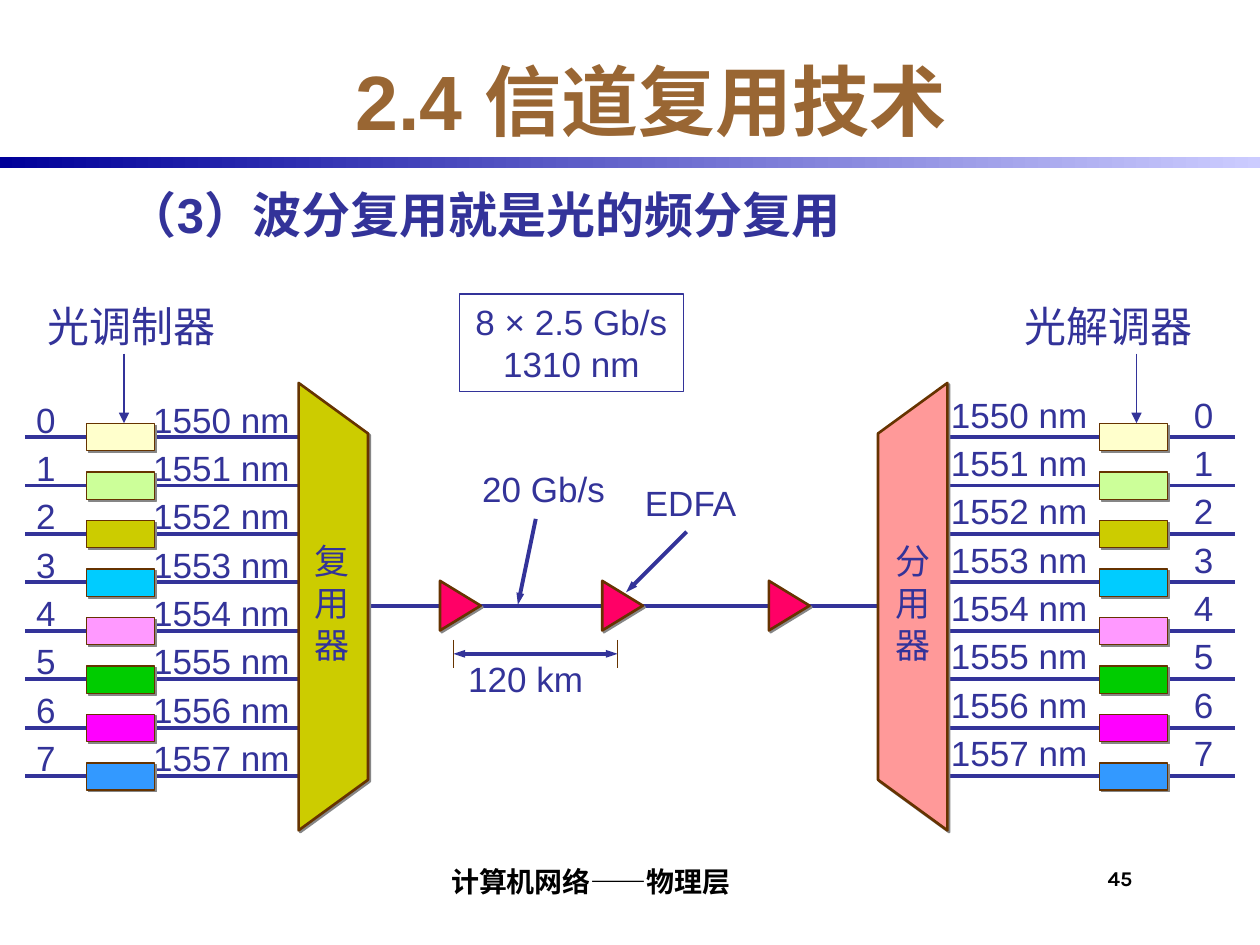
import pptx
import pptx.util
import pptx.dml.color
import pptx.enum.shapes
import pptx.enum.text
import pptx.oxml.ns
import lxml.etree
from pptx.util import Cm

# Theme: colours, fonts and sizes
THEME = {
    "ink": "333399", "title": "996633", "edge": "663300", "shadow": "868686",
    "amplifier": "FF0066", "bar": ("000099", "CCCCFF"), "black": "000000",
    "sans": "Arial", "serif": "Times New Roman", "label": "Karla",
    "title_size": 44, "heading_size": 28, "device_size": 24, "text_size": 20,
    "footer_size": 16, "number_size": 12, "thick": 2.25, "medium": 1.5, "thin": 0.75,
}

# Content (lengths in centimetres)
TITLE = "2.4 信道复用技术"
HEADING = "（3）波分复用就是光的频分复用"
FOOTER, PAGE_NUMBER = "计算机网络——物理层", "45"
CHANNEL_COLOURS = ["FFFFCC", "CCFF99", "CCCC00", "00CCFF",
                   "FF99FF", "00CC00", "FF00FF", "3399FF"]
WAVELENGTHS = [f"{1550 + number} nm" for number in range(8)]
SENDER_LINES = [f"{i}\t{wave}" for i, wave in enumerate(WAVELENGTHS)]
RECEIVER_LINES = [f"{wave}\t{i}" for i, wave in enumerate(WAVELENGTHS)]
SIDES = [  # line start, device left, device name, name left, arrow x
    (0.51, 1.75, "光调制器", 0.71, 2.5),
    (19.1, 22.17, "光解调器", 20.4, 22.91),
]
COUPLERS = [  # text, text left, long edge x, short edge x, fill
    ("复用器", 6.1, 6.02, 7.42, "CCCC00"),
    ("分用器", 17.81, 19.1, 17.7, "FF9999"),
]
FIBRE_LABELS = [  # text, left, top, width
    ("20 Gb/s", 9.47, 9.3, 2.97),
    ("EDFA", 12.75, 9.58, 2.39),
    ("120 km", 9.19, 13.13, 2.82),
]
AMPLIFIER_CENTRES = [9.28, 12.55, 15.91]
ROW_FIRST, ROW_LAST, FIBRE_Y = 8.81, 15.65, 12.22
LINE_LENGTH = 5.79
SPAN_ENDS = (9.14, 12.45)

deck = pptx.Presentation()
deck.slide_width, deck.slide_height = Cm(25.4), Cm(19.05)
page = deck.slides.add_slide(deck.slide_layouts[5])
ALIGN = pptx.enum.text.PP_ALIGN
ANCHOR = pptx.enum.text.MSO_ANCHOR
SHAPE = pptx.enum.shapes.MSO_SHAPE


def colour(name):
    return pptx.dml.color.RGBColor.from_string(name)


def drawing(parent, tag, **attributes):
    return lxml.etree.SubElement(parent, pptx.oxml.ns.qn("a:" + tag), attributes)


def write(text, *, at, box=None, size=THEME["text_size"], font=THEME["sans"],
          ink=THEME["ink"], bold=False, align=ALIGN.LEFT, anchor=ANCHOR.TOP,
          wrap=False, spacing=None, tab=None, margins=(0.25, 0.13, 0.25, 0.13)):
    """Write one paragraph per line of text, in a new box unless one is given."""
    box = box or page.shapes.add_textbox(0, 0, 0, 0)
    box.left, box.top, box.width, box.height = map(Cm, at)
    frame = box.text_frame
    frame.auto_size = pptx.enum.text.MSO_AUTO_SIZE.NONE
    frame.word_wrap, frame.vertical_anchor = wrap, anchor
    (frame.margin_left, frame.margin_top,
     frame.margin_right, frame.margin_bottom) = map(Cm, margins)
    for index, line in enumerate(text.split("\n")):
        para = frame.add_paragraph() if index else frame.paragraphs[0]
        para.alignment = align
        if spacing:
            para.line_spacing = pptx.util.Pt(spacing)
        if tab:
            stops = drawing(para._p.get_or_add_pPr(), "tabLst")
            drawing(stops, "tab", pos=str(Cm(tab)), algn="l")
        span = para.add_run()
        span.text = line
        span.font.size, span.font.bold = pptx.util.Pt(size), bold
        span.font.name, span.font.color.rgb = font, colour(ink)
    return box


def outline(shape, ink, width):
    shape.line.color.rgb = colour(ink)
    shape.line.width = pptx.util.Pt(width)


def finish(shape, fill, width):
    """Fill and outline a part and give it a small hard shadow."""
    shape.fill.solid()
    shape.fill.fore_color.rgb = colour(fill)
    outline(shape, THEME["edge"], width)
    shape.shadow.inherit = False
    effects = shape._element.spPr.find(pptx.oxml.ns.qn("a:effectLst"))
    shadow = drawing(effects, "outerShdw", dist=str(pptx.util.Pt(1.4)),
                     dir="2700000", algn="ctr", rotWithShape="0")
    drawing(shadow, "srgbClr", val=THEME["shadow"])


def connect(x1, y1, x2, y2, *, ink=THEME["ink"], width=THEME["thick"], heads=()):
    line = page.shapes.add_connector(
        pptx.enum.shapes.MSO_CONNECTOR.STRAIGHT, *map(Cm, (x1, y1, x2, y2)))
    outline(line, ink, width)
    head_width = "sm" if width == THEME["thick"] else "med"
    for end in heads:
        drawing(line.line._get_or_add_ln(), end, type="triangle",
                w=head_width, len="med")
    drawing(line._element.spPr, "effectLst")


# Title, rule, heading, footer
bar = page.shapes.add_shape(SHAPE.RECTANGLE, 0, Cm(3.17), Cm(25.4), Cm(0.21))
bar.shadow.inherit = False
bar.line.fill.background()
bar.fill.gradient()
bar.fill.gradient_angle = 0
for stop, shade in zip(bar.fill.gradient_stops, THEME["bar"]):
    stop.color.rgb = colour(shade)
write(TITLE, at=(2.33, 0.85, 21.59, 2.33), box=page.shapes.title,
      size=THEME["title_size"], ink=THEME["title"], bold=True,
      align=ALIGN.CENTER, anchor=ANCHOR.MIDDLE, wrap=True)
write(HEADING, at=(2.33, 3.6, 21.59, 1.5), size=THEME["heading_size"],
      bold=True, wrap=True)
write(FOOTER, at=(5.29, 17.15, 13.14, 1.06), size=THEME["footer_size"],
      font=THEME["label"], ink=THEME["black"], bold=True, align=ALIGN.CENTER,
      anchor=ANCHOR.BOTTOM, wrap=True, margins=(0.1, 0, 0, 0.1))
write(PAGE_NUMBER, at=(22.23, 17.35, 1.48, 1.06), size=THEME["number_size"],
      font=THEME["label"], ink=THEME["black"], bold=True, wrap=True,
      margins=(0.1, 0.1, 0, 0))

# Channel numbers and wavelengths
write("\n".join(RECEIVER_LINES), at=(18.92, 7.67, 6.2, 8.05), wrap=True,
      spacing=27.6, tab=4.9)
write("\n".join(SENDER_LINES), at=(0.48, 7.77, 6.4, 8.05), wrap=True,
      spacing=27.6, tab=2.36)

# Channel lines, then the coloured devices on them
pitch = (ROW_LAST - ROW_FIRST) / (len(CHANNEL_COLOURS) - 1)
for line_left, device_left, name, name_left, arrow_x in SIDES:
    for row, fill in enumerate(CHANNEL_COLOURS):
        y = ROW_FIRST + row * pitch
        connect(line_left, y, line_left + LINE_LENGTH, y)
        device = page.shapes.add_shape(
            SHAPE.RECTANGLE, Cm(device_left), Cm(y - 0.27), Cm(1.37), Cm(0.55))
        finish(device, fill, THEME["thin"])
    write(name, at=(name_left, 5.92, 3.89, 1.27), size=THEME["device_size"],
          font=THEME["label"])
    connect(arrow_x, 7.13, arrow_x, 8.53, width=THEME["thin"], heads=["tailEnd"])

# Fibre and amplifiers
connect(6.45, FIBRE_Y, 18.95, FIBRE_Y)
for centre in AMPLIFIER_CENTRES:
    amplifier = page.shapes.add_shape(
        SHAPE.ISOSCELES_TRIANGLE, Cm(centre - 0.5), Cm(FIBRE_Y - 0.42),
        Cm(1), Cm(0.82))
    amplifier.rotation = 90
    finish(amplifier, THEME["amplifier"], THEME["medium"])

# Multiplexer and demultiplexer
for text, text_left, long_x, short_x, fill in COUPLERS:
    corners = [(long_x, 16.74), (long_x, 7.72), (short_x, 8.74), (short_x, 15.72)]
    points = [(Cm(x), Cm(y)) for x, y in corners]
    builder = page.shapes.build_freeform(*points[0])
    builder.add_line_segments(points[1:], close=True)
    finish(builder.convert_to_shape(), fill, THEME["medium"])
    write("\n".join(text), at=(text_left, 10.74, 1.22, 2.79),
          font=THEME["serif"], spacing=24)

# Fibre labels, pointers and the span measure
rate_box = write("8 × 2.5 Gb/s\n1310 nm", at=(9.26, 5.93, 4.52, 1.96),
                 align=ALIGN.CENTER, spacing=24)
outline(rate_box, THEME["ink"], THEME["thin"])
for text, left, top, width in FIBRE_LABELS:
    write(text, at=(left, top, width, 1.12), spacing=24)
connect(10.8, 10.46, 10.44, 12.19, heads=["tailEnd"])
connect(13.84, 10.72, 12.62, 11.94, heads=["tailEnd"])
for x in SPAN_ENDS:
    connect(x, 12.9, x, 13.46, ink=THEME["edge"], width=THEME["thin"])
connect(SPAN_ENDS[0], 13.18, SPAN_ENDS[1], 13.18, heads=["headEnd", "tailEnd"])

deck.save("out.pptx")
